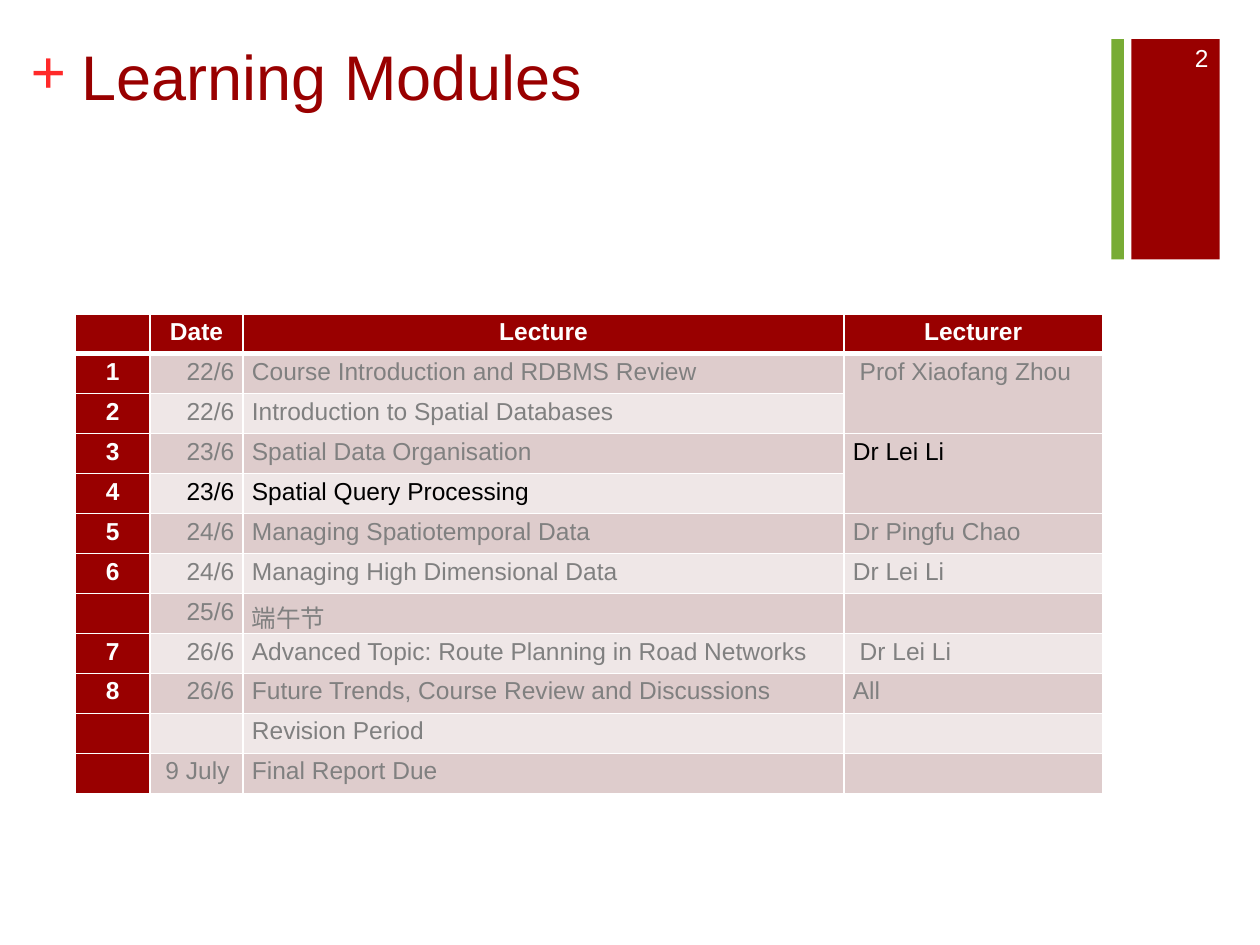
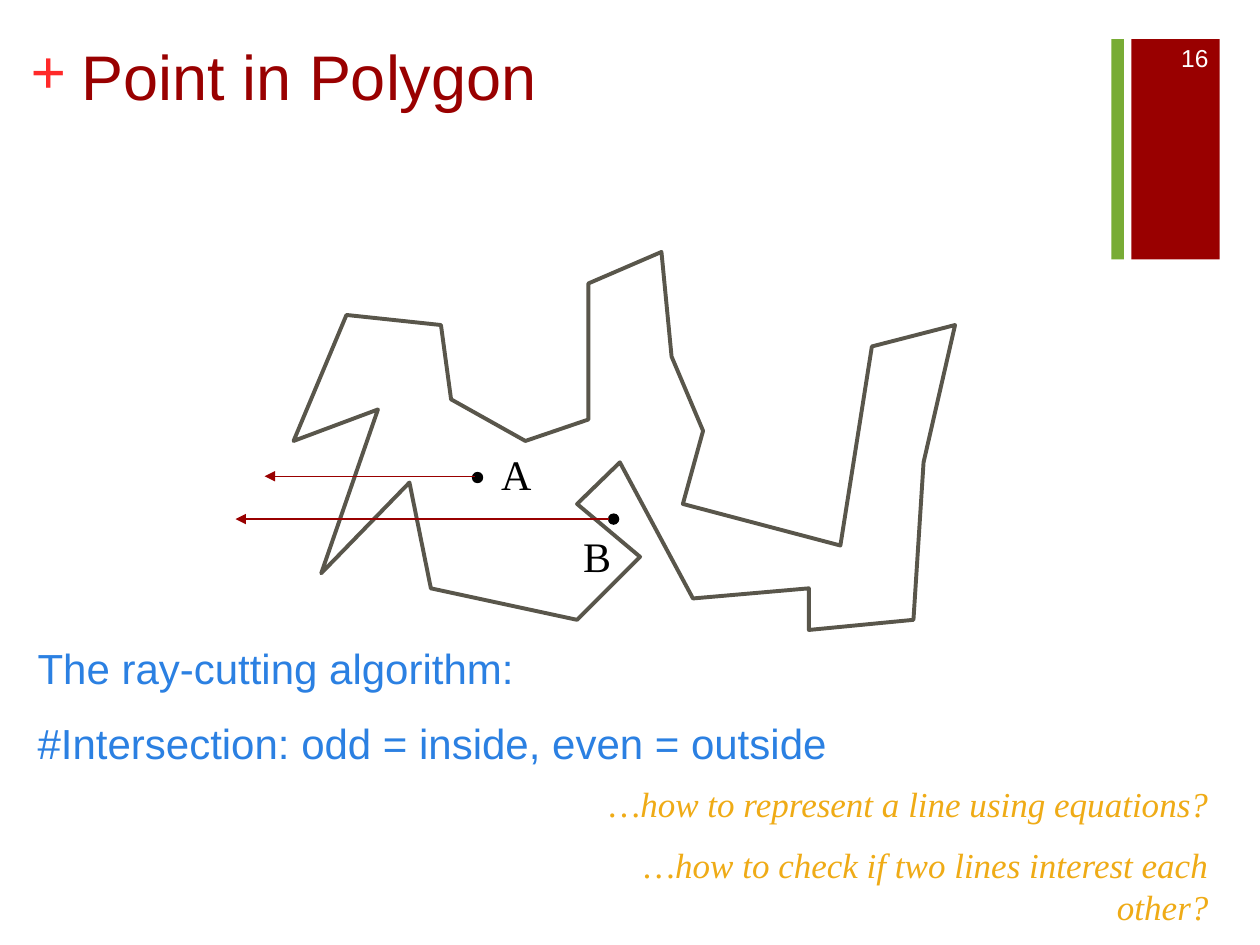
import pptx
import pptx.util
import pptx.dml.color
import pptx.enum.shapes
import pptx.enum.text
import pptx.oxml
import pptx.oxml.ns
from lxml import etree

Inches, Pt = pptx.util.Inches, pptx.util.Pt
ALIGN = pptx.enum.text.PP_ALIGN
ANCHOR = pptx.enum.text.MSO_ANCHOR
SHAPE = pptx.enum.shapes.MSO_SHAPE
qn = pptx.oxml.ns.qn

# Shared look
RED, GREEN, PLUS = "990000", "78AC35", "FF2929"
WHITE, BLACK, GREY = "FFFFFF", "000000", "808080"
BLUE, GOLD, OUTLINE = "2B80E2", "EFAB16", "59564B"
ROW_FILLS = ("DECCCC", "EFE7E7")
SANS, SERIF = "Arial", "Times New Roman"

# Slide 1: number, date, lecture, lecturer
HEADER = ("", "Date", "Lecture", "Lecturer")
LECTURES = [
    ("1", "22/6", "Course Introduction and RDBMS Review", " Prof Xiaofang Zhou"),
    ("2", "22/6", "Introduction to Spatial Databases", ""),
    ("3", "23/6", "Spatial Data Organisation", "Dr Lei Li"),
    ("4", "23/6", "Spatial Query Processing", ""),
    ("5", "24/6", "Managing Spatiotemporal Data", "Dr Pingfu Chao"),
    ("6", "24/6", "Managing High Dimensional Data", "Dr Lei Li"),
    ("", "25/6", "端午节", ""),
    ("7", "26/6", "Advanced Topic: Route Planning in Road Networks", " Dr Lei Li"),
    ("8", "26/6", "Future Trends, Course Review and Discussions", "All"),
    ("", "", "Revision Period", ""),
    ("", " 9 July", "Final Report Due", ""),
]
COL_WIDTHS = (0.59, 0.74, 4.77, 2.05)
COL_ALIGNS = (ALIGN.CENTER, ALIGN.RIGHT, ALIGN.LEFT, ALIGN.LEFT)
CURRENT = {(3, 3), (4, 1), (4, 2)}  # cells of today's lecture
SHARED_LECTURER_ROWS = (1, 3)       # each spans two rows

# Slide 2: corners of the polygon
POLYGON = [
    (2.33, 3.5), (2.75, 2.5), (3.5, 2.58), (3.58, 3.17), (4.17, 3.5),
    (4.67, 3.33), (4.67, 2.25), (5.25, 2), (5.33, 2.83), (5.58, 3.42),
    (5.42, 4), (6.67, 4.33), (6.92, 2.75), (7.58, 2.58), (7.33, 3.67),
    (7.25, 4.92), (6.42, 5), (6.42, 4.67), (5.5, 4.75), (4.92, 3.67),
    (4.58, 4), (5.08, 4.42), (4.58, 4.92), (3.42, 4.67), (3.25, 3.83),
    (2.55, 4.55), (3, 3.25),
]


def rgb(value):
    return pptx.dml.color.RGBColor.from_string(value)


def style_font(font, color, **values):
    font.color.rgb = rgb(color)
    for name, value in values.items():
        setattr(font, name, value)


def add_text(s, at, lines, size, color, name=SANS, align=ALIGN.LEFT,
             anchor=ANCHOR.TOP, gap=0, insets=(0.1, 0.05), **font):
    """Text box; gap is the space before every paragraph but the first."""
    tf = s.shapes.add_textbox(*map(Inches, at)).text_frame
    side, top = map(Inches, insets)
    frame = {"word_wrap": True, "vertical_anchor": anchor, "margin_left": side,
             "margin_right": side, "margin_top": top}
    for key, value in frame.items():
        setattr(tf, key, value)
    for i, line in enumerate(lines):
        p = tf.paragraphs[0] if i == 0 else tf.add_paragraph()
        p.alignment = align
        if i:
            p.space_before = Pt(gap)
        r = p.add_run()
        r.text = line
        style_font(r.font, color, size=Pt(size), name=name, **font)


def add_solid(s, kind, at, fill, line=None):
    sp = s.shapes.add_shape(kind, *map(Inches, at))
    sp.shadow.inherit = False
    sp.fill.solid()
    sp.fill.fore_color.rgb = rgb(fill)
    if line:
        sp.line.color.rgb = rgb(line)
        sp.line.width = Pt(0.75)
    else:
        sp.line.fill.background()


def add_polygon(s, corners):
    points = [(Inches(x), Inches(y)) for x, y in corners]
    builder = s.shapes.build_freeform(*points[0])
    builder.add_line_segments(points[1:], close=True)
    sp = builder.convert_to_shape()
    sp.shadow.inherit = False
    sp.fill.background()
    sp.line.color.rgb = rgb(OUTLINE)
    sp.line.width = Pt(2.25)


def add_ray(s, x1, x2, y):
    cn = s.shapes.add_connector(pptx.enum.shapes.MSO_CONNECTOR.STRAIGHT,
                                Inches(x1), Inches(y), Inches(x2), Inches(y))
    cn.line.color.rgb = rgb(RED)
    cn.line.width = Pt(0.75)
    etree.SubElement(cn.line._get_or_add_ln(), qn("a:tailEnd"), type="triangle")
    etree.SubElement(cn._element.spPr, qn("a:effectLst"))


def set_borders(cell, bottom):
    tc_pr = cell._tc.get_or_add_tcPr()
    for tag, width in (("lnL", 1), ("lnR", 1), ("lnT", 1), ("lnB", bottom)):
        ln = etree.SubElement(tc_pr, qn("a:" + tag), w=str(Pt(width)))
        fill = etree.SubElement(ln, qn("a:solidFill"))
        etree.SubElement(fill, qn("a:srgbClr"), val=WHITE)


def fill_cell(cell, text, fill, color, bold, align, bottom=1):
    set_borders(cell, bottom)
    cell.fill.solid()
    cell.fill.fore_color.rgb = rgb(fill)
    cell.margin_left = cell.margin_right = Inches(0.07)
    cell.margin_top = cell.margin_bottom = 0
    if text:
        p = cell.text_frame.paragraphs[0]
        p.alignment = align
        p.line_spacing = 1.15
        r = p.add_run()
        r.text = text
        style_font(r.font, color, size=Pt(14), name=SANS, bold=bold)


def add_schedule(s):
    rows = [HEADER] + LECTURES
    table = s.shapes.add_table(len(rows), len(HEADER), Inches(0.6), Inches(2.49),
                               Inches(sum(COL_WIDTHS)), Inches(3.81)).table
    for col, width in zip(table.columns, COL_WIDTHS):
        col.width = Inches(width)
    for i, row in enumerate(rows):
        for j, text in enumerate(row):
            cell = table.cell(i, j)
            if i == 0:
                fill_cell(cell, text, RED, WHITE, True, ALIGN.CENTER, bottom=3)
            elif j == 0:
                fill_cell(cell, text, RED, WHITE, True, ALIGN.CENTER)
            else:
                color = BLACK if (i, j) in CURRENT else GREY
                align = ALIGN.LEFT if text.endswith("July") else COL_ALIGNS[j]
                fill_cell(cell, text, ROW_FILLS[(i - 1) % 2], color, False, align)
    for i in SHARED_LECTURER_ROWS:
        table.cell(i, 3).merge(table.cell(i + 1, 3))


def add_base_slide(prs, title, number):
    """Blank slide with bands, plus sign, title and slide number."""
    s = prs.slides.add_slide(prs.slide_layouts[6])
    add_solid(s, SHAPE.RECTANGLE, (8.98, 0.31, 0.7, 1.75), RED)
    add_text(s, (0.24, 0.25, 0.29, 0.61), ["+"], 36, PLUS, SERIF,
             insets=(0, 0), bold=True)
    add_solid(s, SHAPE.RECTANGLE, (8.82, 0.31, 0.1, 1.75), GREEN)
    add_text(s, (0.55, 0.2, 8.26, 1.22), [title], 36, RED, insets=(0.1, 0.1))
    add_text(s, (9.08, 0.26, 0.61, 0.4), [str(number)], 14, WHITE,
             align=ALIGN.RIGHT, anchor=ANCHOR.MIDDLE)
    return s


def main():
    prs = pptx.Presentation()
    prs.slide_width, prs.slide_height = Inches(10), Inches(7.5)

    # Learning modules
    add_schedule(add_base_slide(prs, "Learning Modules", 2))

    # Point in polygon
    s = add_base_slide(prs, "Point in Polygon", 16)
    add_polygon(s, POLYGON)
    for x, y in ((3.75, 3.75), (4.83, 4.08)):
        add_solid(s, SHAPE.OVAL, (x, y, 0.08, 0.08), BLACK, BLACK)
    add_ray(s, 3.77, 2.1, 3.78)
    add_ray(s, 4.83, 1.87, 4.12)
    for label, x, y in (("A", 3.88, 3.48), ("B", 4.53, 4.13)):
        add_text(s, (x, y, 0.57, 0.5), [label], 24, BLACK, SERIF,
                 insets=(0.1, 0.08))

    # Rule and questions
    add_text(s, (0.2, 5.04, 6.5, 1.11),
             ["The ray-cutting algorithm:",
              "#Intersection: odd = inside, even = outside"],
             24, BLUE, anchor=ANCHOR.MIDDLE, gap=14)
    add_text(s, (4.22, 6.13, 5.47, 0.94),
             ["…how to represent a line using equations?",
              "…how to check if two lines interest each other?"],
             20, GOLD, SERIF, align=ALIGN.RIGHT, gap=11, insets=(0.1, 0.08),
             italic=True)

    prs.save("out.pptx")


if __name__ == "__main__":
    main()
